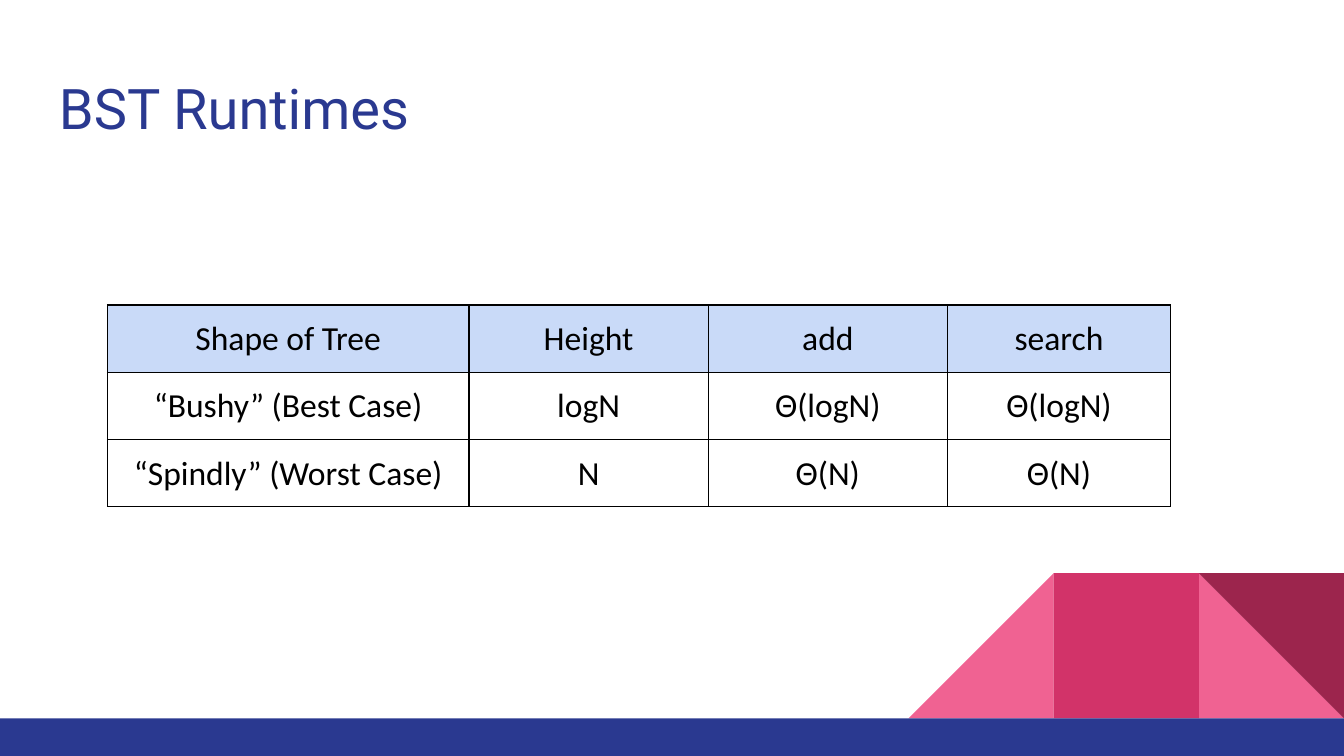
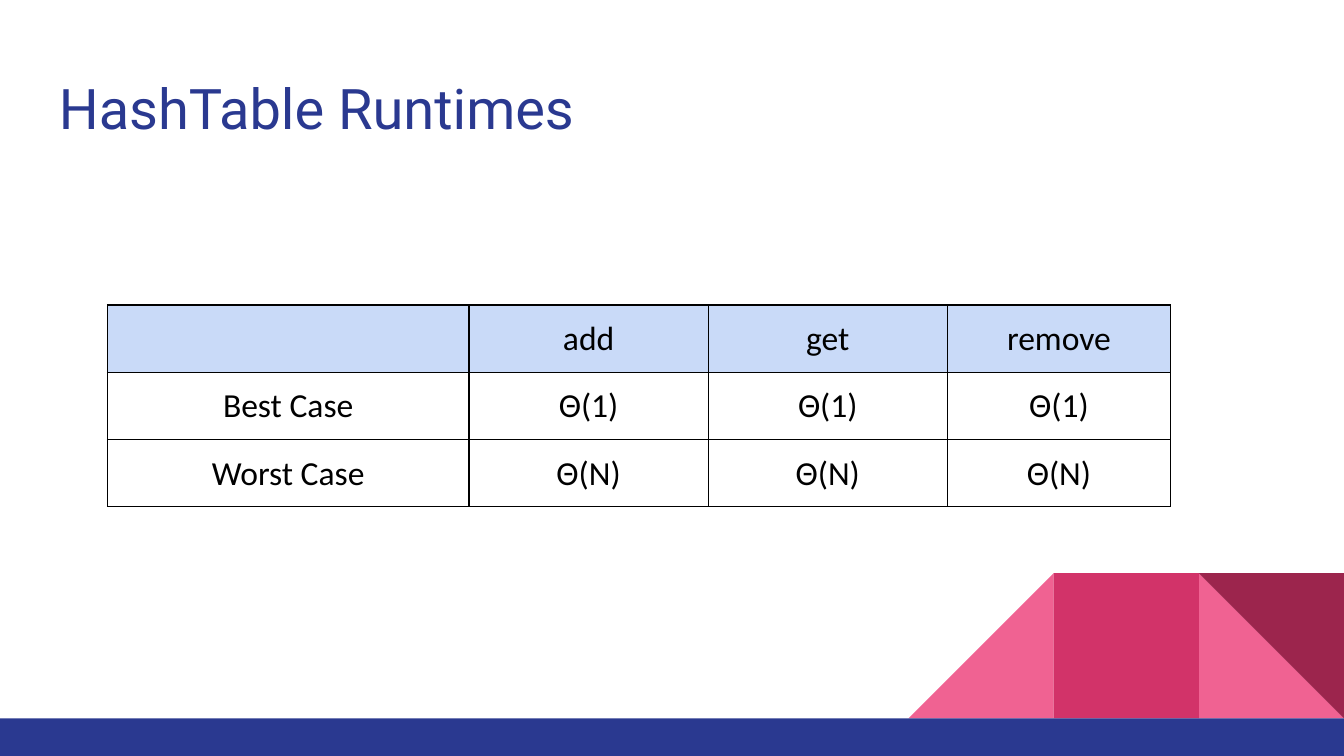
"""Build two slides that compare the runtimes of search trees and hash tables."""
from dataclasses import dataclass

from lxml.etree import SubElement
from pptx import Presentation
from pptx.dml.color import RGBColor
from pptx.enum.shapes import MSO_SHAPE as Preset
from pptx.enum.text import PP_ALIGN as Align
from pptx.oxml.ns import qn
from pptx.util import Inches, Pt

RUNTIMES = [
    ("BST Runtimes", [
        ("Shape of Tree", "Height", "add", "search"),
        ("“Bushy” (Best Case)", "logN", "Θ(logN)", "Θ(logN)"),
        ("“Spindly” (Worst Case)", "N", "Θ(N)", "Θ(N)"),
    ]),
    ("HashTable Runtimes", [
        ("", "add", "get", "remove"),
        ("Best Case", "Θ(1)", "Θ(1)", "Θ(1)"),
        ("Worst Case", "Θ(N)", "Θ(N)", "Θ(N)"),
    ]),
]


@dataclass(frozen=True)
class Theme:
    navy: str = "2A3990"
    pink: str = "F06292"
    rose: str = "D23369"
    wine: str = "9C254D"
    header: str = "C9DAF8"
    ink: str = "000000"
    title_font: str = "Roboto"
    table_font: str = "Calibri"
    title_size: int = 30
    table_size: int = 18
    border: float = 0.75


THEME = Theme()
WIDTH = 10
HEIGHT = WIDTH * 9 / 16
BAND_HEIGHT = 0.28
BAND_TOP = HEIGHT - BAND_HEIGHT
TILE = 1.08
INSET = 0.1
TABLE_LEFT, TABLE_TOP = 0.8, 2.27
COLUMN_WIDTHS = (2.69, 1.78, 1.78, 1.66)
ROW_HEIGHT = 0.42

TILES = [
    (1, Preset.RIGHT_TRIANGLE, THEME.pink, 0, False),
    (3, Preset.RIGHT_TRIANGLE, THEME.pink, 0, True),
    (2, Preset.RECTANGLE, THEME.rose, 0, False),
    (1, Preset.RIGHT_TRIANGLE, THEME.wine, 180, False),
]


def add_block(slide, preset, left, top, width, height, color):
    shape = slide.shapes.add_shape(
        preset, Inches(left), Inches(top), Inches(width), Inches(height))
    shape.shadow.inherit = False
    shape.fill.solid()
    shape.fill.fore_color.rgb = RGBColor.from_string(color)
    shape.line.fill.background()
    return shape


def add_decoration(slide):
    for steps, preset, color, rotation, mirrored in TILES:
        shape = add_block(slide, preset, WIDTH - steps * TILE, BAND_TOP - TILE,
                          TILE, TILE, color)
        shape.rotation = rotation
        if mirrored:
            shape.element.spPr.xfrm.set("flipH", "1")
    add_block(slide, Preset.RECTANGLE, 0, BAND_TOP, WIDTH, BAND_HEIGHT, THEME.navy)


def add_run(paragraph, text, font_name, size, color):
    run = paragraph.add_run()
    run.text = text
    run.font.name = font_name
    run.font.size = Pt(size)
    run.font.color.rgb = RGBColor.from_string(color)


def set_margins(target):
    for side in ("left", "top", "right", "bottom"):
        setattr(target, f"margin_{side}", Inches(INSET))


def add_title(slide, text):
    box = slide.shapes.add_textbox(
        Inches(0.34), Inches(0.45), Inches(9.32), Inches(0.66))
    frame = box.text_frame
    frame.word_wrap = True
    set_margins(frame)
    add_run(frame.paragraphs[0], text, THEME.title_font, THEME.title_size, THEME.navy)


def add_borders(cell):
    properties = cell._tc.get_or_add_tcPr()
    for side in ("lnL", "lnR", "lnT", "lnB"):
        line = SubElement(properties, qn(f"a:{side}"), w=str(int(Pt(THEME.border))))
        fill = SubElement(line, qn("a:solidFill"))
        SubElement(fill, qn("a:srgbClr"), val=THEME.ink)


def style_cell(cell, text, is_header):
    set_margins(cell)
    add_borders(cell)
    if is_header:
        cell.fill.solid()
        cell.fill.fore_color.rgb = RGBColor.from_string(THEME.header)
    else:
        cell.fill.background()
    paragraph = cell.text_frame.paragraphs[0]
    paragraph.alignment = Align.CENTER
    if text:
        add_run(paragraph, text, THEME.table_font, THEME.table_size, THEME.ink)


def add_runtime_table(slide, rows):
    table = slide.shapes.add_table(
        len(rows), len(COLUMN_WIDTHS), Inches(TABLE_LEFT), Inches(TABLE_TOP),
        Inches(sum(COLUMN_WIDTHS)), Inches(ROW_HEIGHT * len(rows))).table
    table.first_row = False
    table.horz_banding = False
    for column, width in zip(table.columns, COLUMN_WIDTHS):
        column.width = Inches(width)
    for row_index, texts in enumerate(rows):
        table.rows[row_index].height = Inches(ROW_HEIGHT)
        for column_index, text in enumerate(texts):
            style_cell(table.cell(row_index, column_index), text, row_index == 0)


def main():
    presentation = Presentation()
    presentation.slide_width = Inches(WIDTH)
    presentation.slide_height = Inches(HEIGHT)
    for title, rows in RUNTIMES:
        slide = presentation.slides.add_slide(presentation.slide_layouts[6])
        add_decoration(slide)
        add_title(slide, title)
        add_runtime_table(slide, rows)
    presentation.save("out.pptx")


if __name__ == "__main__":
    main()
